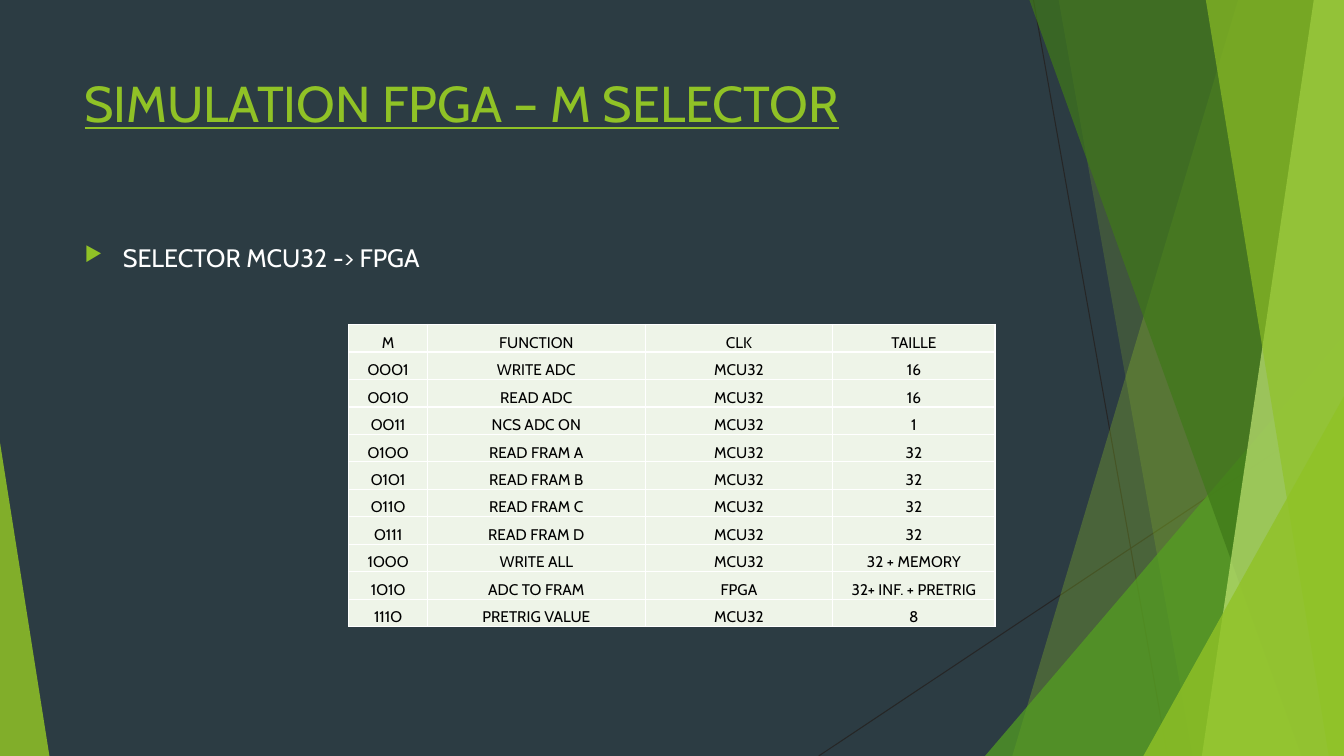
from dataclasses import dataclass

from lxml import etree
from pptx import Presentation
from pptx.dml.color import RGBColor
from pptx.enum.shapes import MSO_CONNECTOR, MSO_SHAPE
from pptx.enum.text import MSO_ANCHOR, PP_ALIGN
from pptx.oxml import parse_xml
from pptx.oxml.ns import nsdecls, qn
from pptx.util import Inches, Pt

STRAIGHT = MSO_CONNECTOR.STRAIGHT
TRIANGLE = MSO_SHAPE.ISOSCELES_TRIANGLE
TOP, BOTTOM = MSO_ANCHOR.TOP, MSO_ANCHOR.BOTTOM
CENTER = PP_ALIGN.CENTER


@dataclass(frozen=True)
class Theme:
    font: str = "Cabin"
    background: str = "2C3C43"
    lime: str = "90C226"
    green: str = "54A021"
    forest: str = "3F7819"
    pale_lime: str = "C0E474"
    hairline: str = "262626"
    white: str = "FFFFFF"
    cell: str = "EEF4E8"
    cell_text: str = "000000"
    title_size: int = 36
    bullet_size: int = 18
    cell_size: int = 11
    hairline_width: float = 0.75
    border_width: int = 1


THEME = Theme()
SLIDE_BOX = (0, 0, 13.33, 7.5)
TITLE_BOX = (0.74, 0.67, 9.4, 1.44)
BULLET_BOX = (0.74, 2.35, 9.4, 0.43)
TABLE_BOX = (3.46, 3.22, 6.41, 3)

# Shards reach the right edge: top and bottom of the slanted side, colour, opacity
BACK_SHARDS = [(12.28, 10.04, THEME.lime, 30), (10.5, 11.83, THEME.lime, 20)]
FRONT_SHARDS = [
    (10.21, 12.91, THEME.forest, 70),
    (13.03, 11.92, THEME.pale_lime, 70),
    (11.96, 13.18, THEME.lime, 65),
]

COLUMN_WIDTHS = [0.78, 2.16, 1.86, 1.61]
SELECTOR_ROWS = [
    ("M", "FUNCTION", "CLK", "TAILLE"),
    ("OOO1", "WRITE ADC", "MCU32", "16"),
    ("OO1O", "READ ADC", "MCU32", "16"),
    ("OO11", "NCS ADC ON", "MCU32", "1"),
    ("O1OO", "READ FRAM A", "MCU32", "32"),
    ("O1O1", "READ FRAM B", "MCU32", "32"),
    ("O11O", "READ FRAM C", "MCU32", "32"),
    ("O111", "READ FRAM D", "MCU32", "32"),
    ("1OOO", "WRITE ALL", "MCU32", "32 + MEMORY"),
    ("1O1O", "ADC TO FRAM", "FPGA", "32+ INF. + PRETRIG"),
    ("111O", "PRETRIG VALUE", "MCU32", "8"),
]


def inches(*lengths):
    return [Inches(length) for length in lengths]


def paint(shape, color, opacity):
    """Give a shape a translucent fill without outline or shadow."""
    shape.shadow.inherit = False
    shape.line.fill.background()
    shape.fill.solid()
    shape.fill.fore_color.rgb = RGBColor.from_string(color)
    srgb = shape.fill._xPr.find(qn("a:solidFill"))[0]
    etree.SubElement(srgb, qn("a:alpha"), val=str(opacity * 1000))


def add_hairline(slide, *ends):
    hairline = slide.shapes.add_connector(STRAIGHT, *inches(*ends))
    hairline.line.color.rgb = RGBColor.from_string(THEME.hairline)
    hairline.line.width = Pt(THEME.hairline_width)
    etree.SubElement(hairline._element.spPr, qn("a:effectLst"))


def add_shard(slide, box, top_x, bottom_x, color, opacity):
    left, top, width, height = box
    right, bottom = left + width, top + height
    outline = slide.shapes.build_freeform(*inches(left + top_x, top))
    corners = [(right, top), (right, bottom), (left + bottom_x, bottom)]
    outline.add_line_segments([inches(*corner) for corner in corners])
    paint(outline.convert_to_shape(), color, opacity)


def add_corner_triangle(slide, box, width, height, apex, color, opacity):
    """Place a triangle in a bottom corner: apex 0 is left, 1 is right."""
    left, top, box_width, box_height = box
    triangle = slide.shapes.add_shape(TRIANGLE, *inches(
        left + apex * (box_width - width), top + box_height - height, width, height))
    triangle.adjustments[0] = apex
    paint(triangle, color, opacity)


def add_facets(slide, box):
    left, top, width, height = box
    right, bottom = left + width, top + height
    add_hairline(slide, left + 10.25, top, left + 11.58, bottom)
    add_hairline(slide, right, top + 4.03, left + 8.12, bottom)
    for shard in BACK_SHARDS:
        add_shard(slide, box, *shard)
    add_corner_triangle(slide, box, 3.56, 4.17, 1, THEME.green, 72)
    for shard in FRONT_SHARDS:
        add_shard(slide, box, *shard)
    add_corner_triangle(slide, box, 1.99, 3.57, 1, THEME.lime, 80)
    add_corner_triangle(slide, box, 0.49, 3.11, 0, THEME.lime, 85)


def write(paragraph, text, color, **font_format):
    run = paragraph.add_run()
    run.text = text
    run.font.color.rgb = RGBColor.from_string(color)
    for name, value in {"name": THEME.font, **font_format}.items():
        setattr(run.font, name, value)


def add_text(slide, box, text, color, **font_format):
    frame = slide.shapes.add_textbox(*inches(*box)).text_frame
    frame.word_wrap = True
    frame.vertical_anchor = TOP
    paragraph = frame.paragraphs[0]
    write(paragraph, text, color, **font_format)
    return paragraph


def add_title(slide, box):
    add_text(slide, box, "SIMULATION FPGA – M SELECTOR", THEME.lime,
             size=Pt(THEME.title_size), underline=True)


def add_bullet(slide, box):
    paragraph = add_text(slide, box, "SELECTOR MCU32 -> FPGA", THEME.white,
                         size=Pt(THEME.bullet_size))
    paragraph.space_before = Pt(10)
    properties = paragraph._p.get_or_add_pPr()
    indent = Inches(0.38)
    properties.set("marL", str(indent))
    properties.set("indent", str(-indent))
    bullet_color = etree.SubElement(properties, qn("a:buClr"))
    etree.SubElement(bullet_color, qn("a:srgbClr"), val=THEME.lime)
    etree.SubElement(properties, qn("a:buSzPct"), val="80000")
    etree.SubElement(properties, qn("a:buChar"), char="▶")


def add_borders(cell):
    properties = cell._tc.get_or_add_tcPr()
    for side in ("lnL", "lnR", "lnT", "lnB"):
        properties.append(parse_xml(
            f'<a:{side} {nsdecls("a")} w="{Pt(THEME.border_width)}"><a:solidFill>'
            f'<a:srgbClr val="{THEME.white}"/></a:solidFill></a:{side}>'))


def fill_cell(cell, text):
    cell_format = {
        "vertical_anchor": BOTTOM,
        "margin_left": Inches(0.01),
        "margin_right": Inches(0.01),
        "margin_top": Inches(0.01),
        "margin_bottom": 0,
    }
    for name, value in cell_format.items():
        setattr(cell, name, value)
    add_borders(cell)
    cell.fill.solid()
    cell.fill.fore_color.rgb = RGBColor.from_string(THEME.cell)
    paragraph = cell.text_frame.paragraphs[0]
    paragraph.alignment = CENTER
    write(paragraph, text, THEME.cell_text, size=Pt(THEME.cell_size))


def add_selector_table(slide, box):
    table = slide.shapes.add_table(
        len(SELECTOR_ROWS), len(COLUMN_WIDTHS), *inches(*box)).table
    table.first_row = table.horz_banding = False
    for column, width in zip(table.columns, COLUMN_WIDTHS):
        column.width = Inches(width)
    for row, texts in zip(table.rows, SELECTOR_ROWS):
        row.height = Inches(box[3] / len(SELECTOR_ROWS))
        for cell, text in zip(row.cells, texts):
            fill_cell(cell, text)


def main():
    deck = Presentation()
    deck.slide_width, deck.slide_height = inches(*SLIDE_BOX[2:])
    slide = deck.slides.add_slide(deck.slide_layouts[6])
    slide.background.fill.solid()
    slide.background.fill.fore_color.rgb = RGBColor.from_string(THEME.background)
    add_facets(slide, SLIDE_BOX)
    add_title(slide, TITLE_BOX)
    add_bullet(slide, BULLET_BOX)
    add_selector_table(slide, TABLE_BOX)
    deck.save("out.pptx")


if __name__ == "__main__":
    main()
